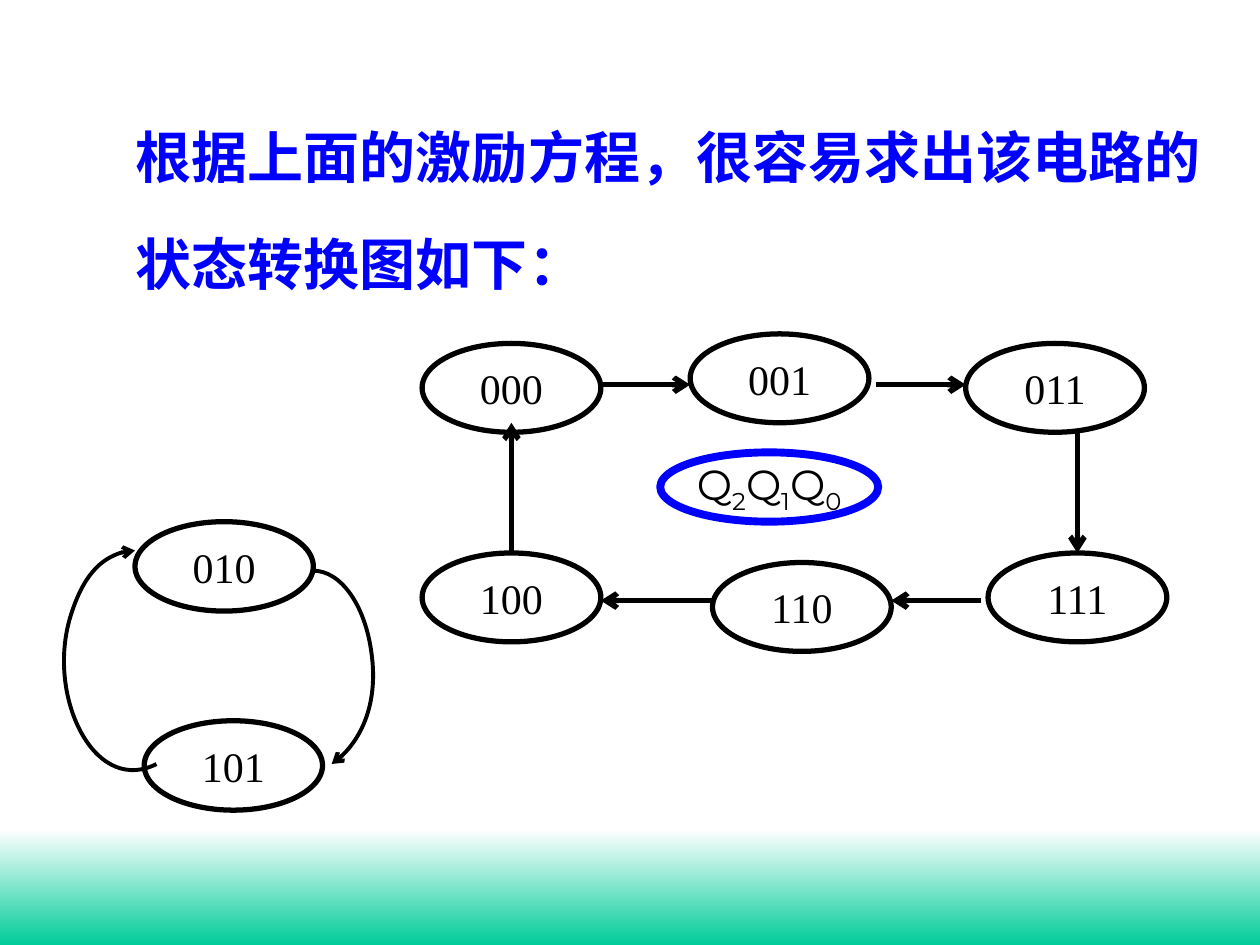
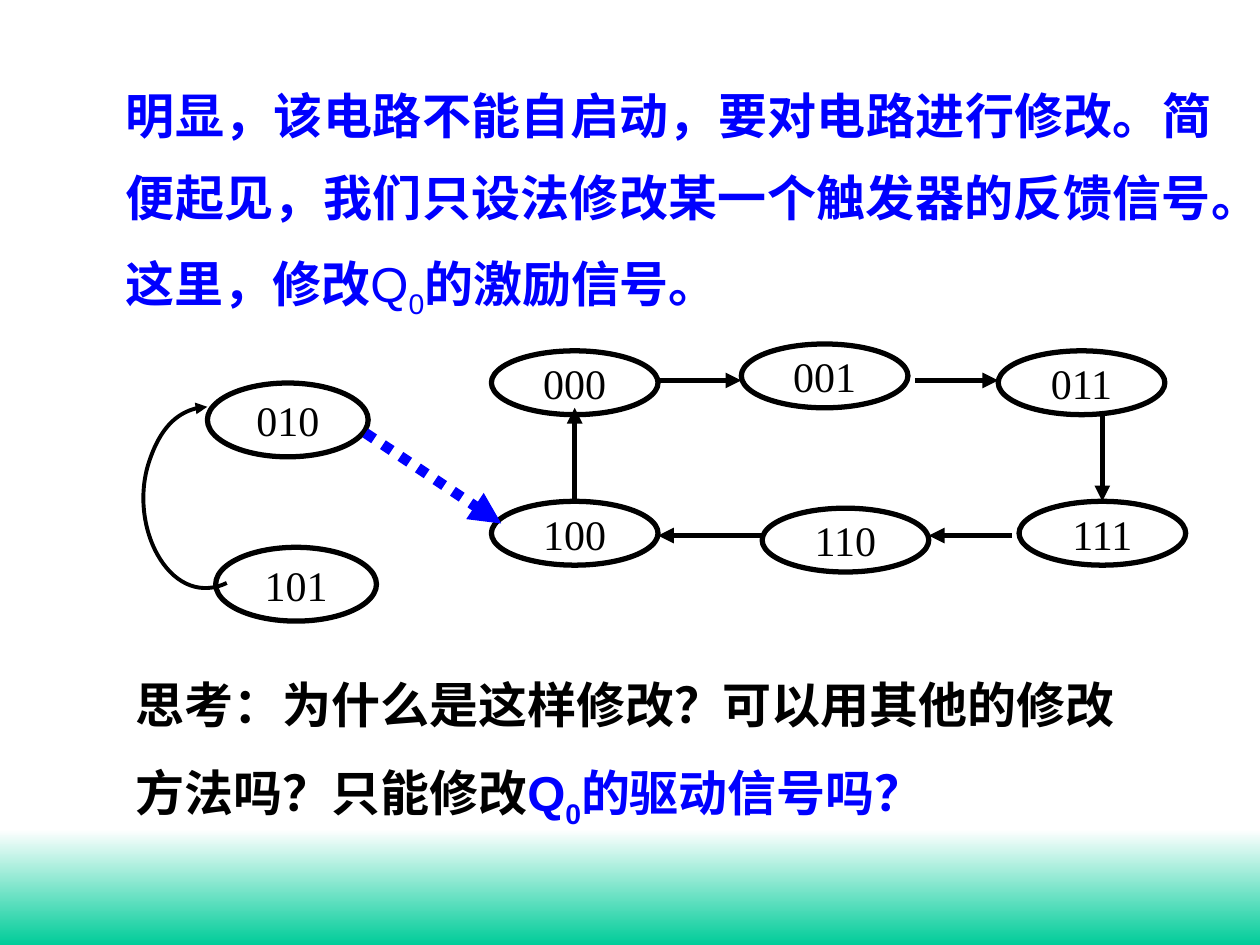
from lxml import etree
from pptx import Presentation
from pptx.dml.color import RGBColor
from pptx.enum.dml import MSO_LINE
from pptx.enum.shapes import MSO_CONNECTOR, MSO_SHAPE
from pptx.enum.text import MSO_ANCHOR, PP_ALIGN
from pptx.oxml.ns import qn
from pptx.util import Inches, Pt

BLACK, BLUE, WHITE, GREEN = "000000", "0000FF", "FFFFFF", "00CC99"

RING_NODE_SIZE = (0.24, 0.28)
RING_NODES = {
    "000": (0, 0.03), "001": (0.36, 0), "011": (0.73, 0.03),
    "111": (0.76, 0.69), "100": (0, 0.69), "110": (0.39, 0.72),
}
RING_ARROWS = [
    ((0.24, 0.16), (0.36, 0.16)), ((0.61, 0.16), (0.73, 0.16)),
    ((0.88, 0.31), (0.88, 0.69)), ((0.75, 0.84), (0.63, 0.84)),
    ((0.39, 0.84), (0.24, 0.84)), ((0.12, 0.69), (0.12, 0.28)),
]
PAIR_NODE_SIZE = (0.58, 0.31)
PAIR_NODES = {"101": (0.26, 0.69), "010": (0.23, 0)}
CURVE_UP = [
    (0.3, 0.84), (0.21, 0.89), (0.12, 0.85), (0.06, 0.74), (0, 0.63),
    (-0.02, 0.47), (0.02, 0.33), (0.06, 0.19), (0.14, 0.1), (0.23, 0.1),
]
CURVE_DOWN = [
    (0.81, 0.17), (0.9, 0.17), (0.98, 0.29), (1, 0.46),
    (1.02, 0.62), (0.96, 0.78), (0.87, 0.84),
]


def color(value):
    """Turn a hex string into a colour."""
    return RGBColor.from_string(value)


def place(box, point):
    """Map a fractional point of a box to slide lengths."""
    left, top, width, height = box
    return Inches(left + point[0] * width), Inches(top + point[1] * height)


def style_line(shape, line_color, width, arrow=None):
    """Set the outline and an optional arrowhead at its end."""
    shape.line.color.rgb = color(line_color)
    shape.line.width = Pt(width)
    if arrow:
        line = shape.line._get_or_add_ln()
        etree.SubElement(line, qn("a:tailEnd"), type=arrow)


def add_runs(paragraph, runs, font_name, size):
    """Add runs given as text, colour, bold and subscript."""
    for text, text_color, bold, subscript in runs:
        run = paragraph.add_run()
        run.text = text
        run.font.name = font_name
        run.font.size = Pt(size)
        run.font.bold = bold
        run.font.color.rgb = color(text_color)
        if subscript:
            run.font._element.set("baseline", "-25000")


def add_text(slide, box, runs, font_name, size, spacing, align=PP_ALIGN.LEFT):
    """Add one wrapped paragraph in a text box."""
    frame = slide.shapes.add_textbox(*map(Inches, box)).text_frame
    frame.word_wrap = True
    paragraph = frame.paragraphs[0]
    paragraph.alignment = align
    paragraph.line_spacing = spacing
    add_runs(paragraph, runs, font_name, size)


def add_ellipse(slide, position, size, runs, font_name, line_color=BLACK, width=3):
    """Add an unfilled ellipse with a centred label."""
    shape = slide.shapes.add_shape(MSO_SHAPE.OVAL, *position, *size)
    shape.shadow.inherit = False
    shape.fill.background()
    style_line(shape, line_color, width)
    frame = shape.text_frame
    frame.word_wrap = False
    frame.vertical_anchor = MSO_ANCHOR.MIDDLE
    frame.paragraphs[0].alignment = PP_ALIGN.CENTER
    add_runs(frame.paragraphs[0], runs, font_name, 24)


def add_states(slide, box, nodes, node_size):
    """Add the state ellipses of a diagram."""
    size = [Inches(part * length) for part, length in zip(node_size, box[2:])]
    for state, point in nodes.items():
        add_ellipse(slide, place(box, point), size,
                    [(state, BLACK, False, False)], "Times New Roman")


def add_arrow(slide, box, start, end, arrow, line_color=BLACK, width=3, dash=None):
    """Add a straight arrow between two points of a box."""
    connector = slide.shapes.add_connector(
        MSO_CONNECTOR.STRAIGHT, *place(box, start), *place(box, end))
    if dash:
        connector.line.dash_style = dash
    style_line(connector, line_color, width, arrow)
    etree.SubElement(connector._element.spPr, qn("a:effectLst"))


def add_curve(slide, box, points, arrow):
    """Add a Bezier arrow from a start and triples of control points."""
    start, *controls = [place(box, point) for point in points]
    builder = slide.shapes.build_freeform(*start)
    builder.add_line_segments(controls, close=False)
    shape = builder.convert_to_shape()
    outline = next(shape._element.iter(qn("a:path")))
    segments = outline.findall(qn("a:lnTo"))
    for first in range(0, len(segments), 3):
        bezier = etree.SubElement(outline, qn("a:cubicBezTo"))
        for segment in segments[first:first + 3]:
            bezier.append(segment[0])
            outline.remove(segment)
    shape.shadow.inherit = False
    shape.fill.background()
    style_line(shape, BLACK, 2.25, arrow)


def add_ring(slide, box, arrow):
    """Draw the six-state cycle."""
    add_states(slide, box, RING_NODES, RING_NODE_SIZE)
    for start, end in RING_ARROWS:
        add_arrow(slide, box, start, end, arrow)


def add_pair(slide, box, arrow):
    """Draw the two isolated states and the arrow back to 010."""
    add_states(slide, box, PAIR_NODES, PAIR_NODE_SIZE)
    add_curve(slide, box, CURVE_UP, arrow)


def add_base_slide(presentation):
    """Add a blank slide with the gradient band at its foot."""
    slide = presentation.slides.add_slide(presentation.slide_layouts[6])
    band = slide.shapes.add_shape(
        MSO_SHAPE.RECTANGLE, 0, Inches(6.58), Inches(10), Inches(0.92))
    band.shadow.inherit = False
    band.line.fill.background()
    band.fill.gradient()
    band.fill.gradient_angle = 270
    for stop, stop_color, position in zip(
            band.fill.gradient_stops, (WHITE, GREEN), (0, 1)):
        stop.color.rgb = color(stop_color)
        stop.position = position
    return slide


def build_state_diagram(presentation):
    """Build the slide with the state diagram of the circuit."""
    slide = add_base_slide(presentation)
    add_text(slide, (0.98, 0.6, 8.82, 1.81), [
        ("根据上面的激励方程，很容易求出该电路的状态转换图如下：", BLUE, True, False),
    ], "Montserrat", 32, 1.6)
    add_ring(slide, (3.35, 2.65, 5.91, 2.52), "arrow")
    pair_box = (0.51, 4.14, 2.44, 2.29)
    add_pair(slide, pair_box, "arrow")
    add_curve(slide, pair_box, CURVE_DOWN, "arrow")
    legend = [run for digit in "210" for run in (
        ("Q", BLACK, False, False), (digit, BLACK, False, True))]
    add_ellipse(slide, (Inches(5.24), Inches(3.59)), (Inches(1.73), Inches(0.55)),
                legend, "Montserrat", BLUE, 4.5)


def build_self_start(presentation):
    """Build the slide with the corrected, self-starting diagram."""
    slide = add_base_slide(presentation)
    add_text(slide, (0.9, 0.44, 8.82, 2.91), [
        ("明显，该电路不能自启动，要对电路进行修改。简便起见，"
         "我们只设法修改某一个触发器的反馈信号。这里，修改", BLUE, True, False),
        ("Q", BLUE, False, False),
        ("0", BLUE, False, True),
        ("的激励信号。", BLUE, True, False),
    ], "Arial", 28, 1.4, PP_ALIGN.JUSTIFY)
    add_ring(slide, (3.9, 2.73, 5.51, 1.81), "triangle")
    pair_box = (1.14, 3.04, 2.2, 1.89)
    add_pair(slide, pair_box, "triangle")
    add_arrow(slide, pair_box, (0.8, 0.21), (1.29, 0.59), "triangle",
              BLUE, 6, MSO_LINE.ROUND_DOT)
    add_text(slide, (0.98, 5.09, 8.27, 1.55), [
        ("思考：为什么是这样修改？可以用其他的修改方法吗？只能修改", BLACK, True, False),
        ("Q", BLUE, True, False),
        ("0", BLUE, True, True),
        ("的驱动信号吗？", BLUE, True, False),
    ], "Arial", 28, 1.45)


def main():
    """Build and save the presentation."""
    presentation = Presentation()
    presentation.slide_width = Inches(10)
    presentation.slide_height = Inches(7.5)
    build_state_diagram(presentation)
    build_self_start(presentation)
    presentation.save("out.pptx")


if __name__ == "__main__":
    main()
